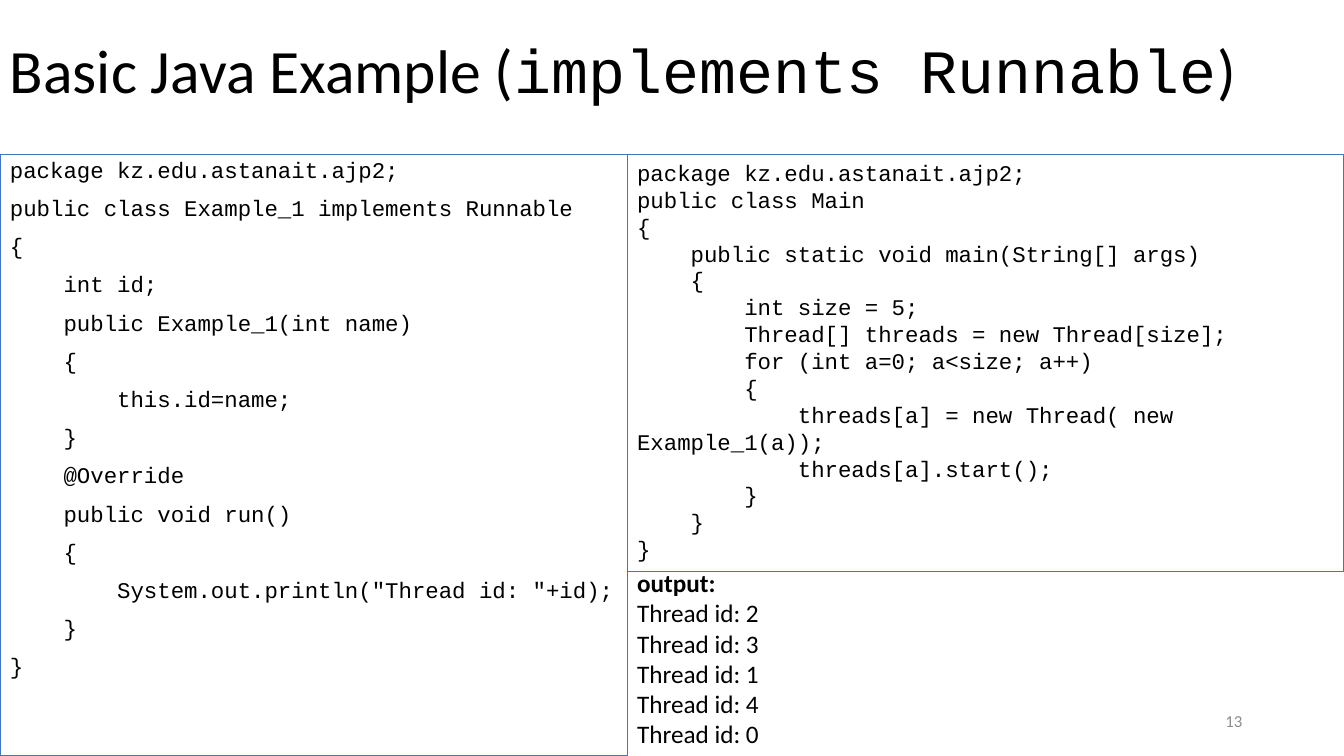
import pptx
import pptx.util
import pptx.dml.color
import pptx.enum.shapes
import pptx.enum.text

Inches = pptx.util.Inches
Pt = pptx.util.Pt
Align = pptx.enum.text.PP_ALIGN
Anchor = pptx.enum.text.MSO_ANCHOR


def paint(color_format, value):
    color_format.rgb = pptx.dml.color.RGBColor.from_string(value)


def add_span(para, text, font="Calibri", size=18, color="000000", bold=False):
    span = para.add_run()
    span.text = text
    span.font.name = font
    span.font.size = Pt(size)
    span.font.bold = bold
    paint(span.font.color, color)


RUNNABLE_CODE = """package kz.edu.astanait.ajp2;
public class Example_1 implements Runnable
{
    int id;
    public Example_1(int name)
    {
        this.id=name;
    }
    @Override
    public void run()
    {
        System.out.println("Thread id: "+id);
    }
}"""

MAIN_CODE = """package kz.edu.astanait.ajp2;
public class Main
{
    public static void main(String[] args)
    {
        int size = 5;
        Thread[] threads = new Thread[size];
        for (int a=0; a<size; a++)
        {
            threads[a] = new Thread( new Example_1(a));
            threads[a].start();
        }
    }
}"""

deck = pptx.Presentation()
deck.slide_width = Inches(13.33)
deck.slide_height = Inches(7.5)
page = deck.slides.add_slide(deck.slide_layouts[6])

split = 6.22
code_top = 1.53
right_width = 13.33 - split

title = page.shapes.add_textbox(0, 0, Inches(13.33), Inches(1.45)).text_frame
title.word_wrap = True
title.vertical_anchor = Anchor.MIDDLE
para = title.paragraphs[0]
para.line_spacing = 0.9
add_span(para, "Basic Java Example (", size=44)
add_span(para, "implements Runnable", font="Courier New", size=44)
add_span(para, ")", size=44)

number = page.shapes.add_textbox(Inches(9.42), Inches(6.95), Inches(3), Inches(0.4)).text_frame
number.word_wrap = True
number.vertical_anchor = Anchor.MIDDLE
number.paragraphs[0].alignment = Align.RIGHT
add_span(number.paragraphs[0], "13", size=12, color="8C8C8C")

output = page.shapes.add_textbox(Inches(split), Inches(5.58), Inches(right_width), Inches(1.92)).text_frame
output.word_wrap = True
add_span(output.paragraphs[0], "output:", bold=True)
for thread in (2, 3, 1, 4, 0):
    add_span(output.add_paragraph(), f"Thread id: {thread}")

code_boxes = [
    (0, split, 5.97, RUNNABLE_CODE, 0.9, 10),
    (split, right_width, 4.14, MAIN_CODE, 1.0, 0),
]
for left, width, height, code, spacing, gap in code_boxes:
    box = page.shapes.add_shape(
        pptx.enum.shapes.MSO_SHAPE.RECTANGLE,
        Inches(left), Inches(code_top), Inches(width), Inches(height))
    box.shadow.inherit = False
    box.fill.background()
    paint(box.line.color, "4472C4")
    box.line.width = Pt(0.75)
    frame = box.text_frame
    frame.word_wrap = True
    frame.vertical_anchor = Anchor.TOP
    for index, line in enumerate(code.split("\n")):
        para = frame.add_paragraph() if index else frame.paragraphs[0]
        para.alignment = Align.LEFT
        para.line_spacing = spacing
        para.space_before = Pt(gap if index else 0)
        add_span(para, line, font="Courier New", size=16)

deck.save("out.pptx")
